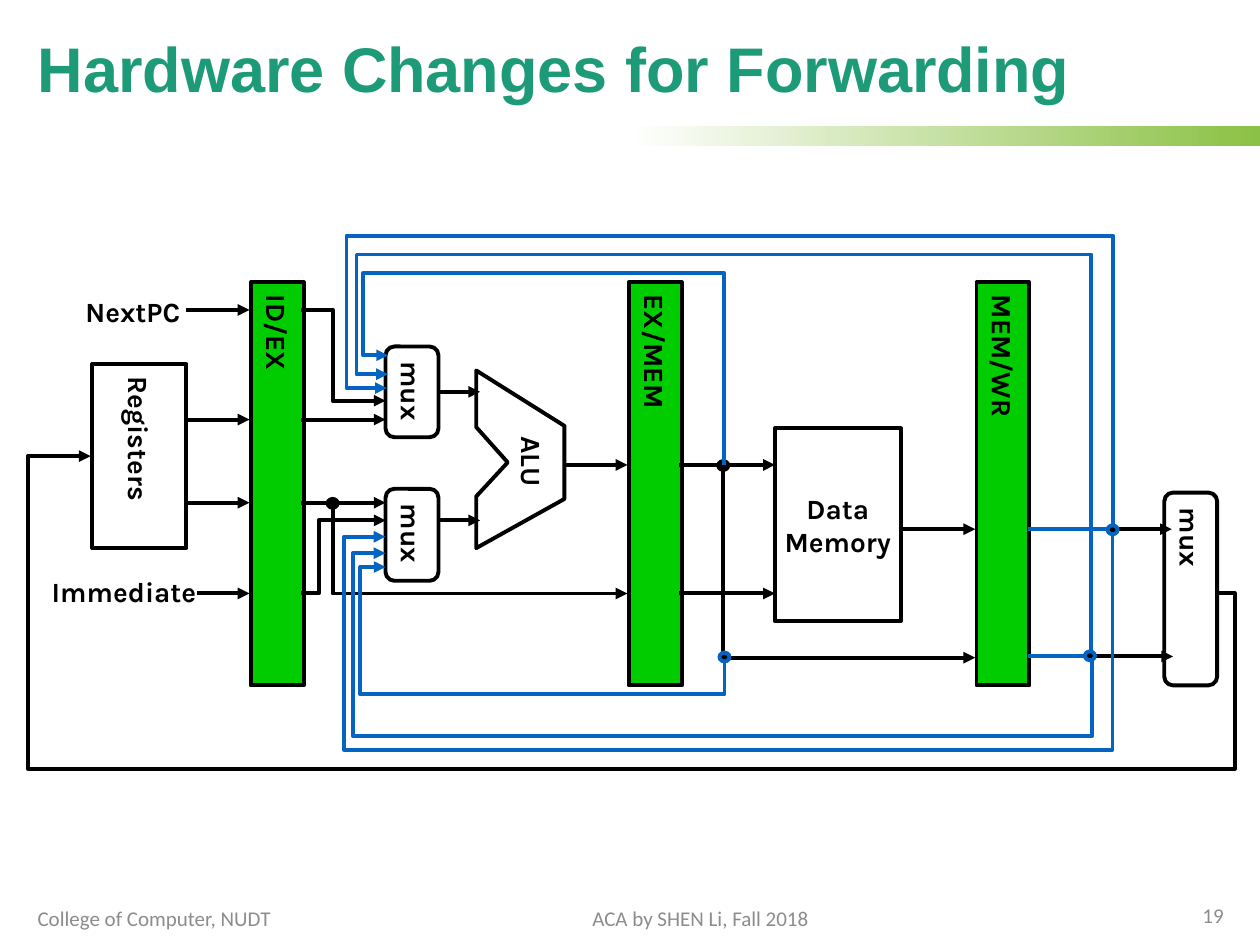
"""Build a slide that shows the pipeline hardware changes for forwarding."""
from pptx import Presentation, util as u
from pptx.dml.color import RGBColor
from pptx.enum import shapes, text
from pptx.oxml import ns, xmlchemy as xml

SCALE = 9144
BLACK = RGBColor(0x00, 0x00, 0x00)
WHITE = RGBColor(0xFF, 0xFF, 0xFF)
GREEN = RGBColor(0x00, 0xCC, 0x00)
LIME = RGBColor(0x8B, 0xC1, 0x45)
TEAL = RGBColor(0x1D, 0x9A, 0x78)
BLUE = RGBColor(0x05, 0x63, 0xC1)
GRAY = RGBColor(0x8C, 0x8C, 0x8C)
LEFT, MID, RIGHT = (text.PP_ALIGN.LEFT, text.PP_ALIGN.CENTER,
                    text.PP_ALIGN.RIGHT)
RECT, ROUND, OVAL = (shapes.MSO_SHAPE.RECTANGLE,
                     shapes.MSO_SHAPE.ROUNDED_RECTANGLE,
                     shapes.MSO_SHAPE.OVAL)
LABEL = {"name": "Karla", "size": u.Pt(15.9), "bold": True}
TITLE = {"name": "Arial", "size": u.Pt(36), "bold": True}
FOOT = {"name": "Calibri", "size": u.Pt(12), "bold": False}


class Pen:
    """Hold the style and the slide that is being drawn."""

    def __init__(self, deck, width=2.25):
        self.slide = deck.slides.add_slide(deck.slide_layouts[6])
        self.items = self.slide.shapes
        self.width = u.Pt(width)

    def size(self, *values):
        return [u.Emu(v * SCALE) for v in values]

    def stroke(self, item, color, arrow=False):
        item.line.color.rgb = color
        item.line.width = self.width
        if arrow:
            line = item._element.spPr.find(ns.qn("a:ln"))
            line.append(xml.OxmlElement("a:tailEnd"))
            line[-1].set("type", "triangle")

    def letter(self, item, words, font=LABEL, color=BLACK, align=MID,
               wrap=False, gap=None):
        frame = item.text_frame
        form = {"word_wrap": wrap, "vertical_anchor": text.MSO_ANCHOR.MIDDLE}
        for key, value in form.items():
            setattr(frame, key, value)
        frame.text = words
        for para in frame.paragraphs:
            para.alignment = align
            para.line_spacing = gap
            for key, value in font.items():
                setattr(para.font, key, value)
            para.font.color.rgb = color

    def box(self, place, words="", kind=RECT, fill=None, edge=BLACK,
            down=True):
        item = self.items.add_shape(kind, *self.size(*place))
        item.shadow.inherit = False
        if fill is None:
            item.fill.background()
        else:
            item.fill.solid()
            item.fill.fore_color.rgb = fill
        self.stroke(item, edge)
        if words:
            self.letter(item, words)
            if down:
                item.text_frame._txBody.bodyPr.set("vert", "eaVert")
        return item

    def mux(self, x, y, high):
        return self.box((x, y, 42, high), "mux", ROUND)

    def dot(self, x, y, edge):
        self.box((x - 4, y - 3, 8, 7), "", OVAL, BLACK, edge)

    def label(self, place, words, turn=0, **form):
        item = self.items.add_textbox(*self.size(*place))
        item.rotation = turn
        self.letter(item, words, **form)

    def arrow(self, x, y, end, start=None):
        item = self.items.add_connector(shapes.MSO_CONNECTOR.STRAIGHT,
                                        *self.size(x, y, end, y))
        if start is not None:
            item.begin_connect(start, 3)
        self.stroke(item, BLACK, True)
        item._element.spPr.append(xml.OxmlElement("a:effectLst"))

    def route(self, points, color=BLACK, close=False):
        form = self.items.build_freeform(*points[0], scale=SCALE)
        form.add_line_segments(points[1:], close=close)
        item = form.convert_to_shape()
        item.shadow.inherit = False
        item.fill.background()
        self.stroke(item, color, not close)

    def band(self, place):
        item = self.items.add_shape(RECT, *self.size(*place))
        item.shadow.inherit = False
        item.line.fill.background()
        item.fill.gradient()
        item.fill.gradient_angle = 0
        for stop, color, spot in zip(item.fill.gradient_stops,
                                     (WHITE, LIME), (0, 1)):
            stop.color.rgb = color
            stop.position = spot


def main():
    deck = Presentation()
    deck.slide_width, deck.slide_height = 1000 * SCALE, 750 * SCALE
    pen = Pen(deck)

    pen.band((500, 100, 500, 16))
    pen.label((20, 15, 961, 85), "Hardware Changes for Forwarding",
              font=TITLE, color=TEAL, align=LEFT, wrap=True, gap=0.9)

    for x, words in ((775, "MEM/WR"), (199, "ID/EX"), (499, "EX/MEM")):
        pen.box((x, 224, 42, 320), words, fill=GREEN)
    pen.box((615, 340, 100, 153), "Data\nMemory", down=False)
    pen.box((73, 289, 75, 146), "Registers")
    upper = pen.mux(306, 275, 72)
    pen.mux(306, 388, 73)
    pen.mux(924, 391, 153)
    pen.route([(378, 294), (448, 338), (448, 396), (378, 435), (378, 394),
               (403, 367), (378, 339)], close=True)

    for place, words, turn in (((390, 348, 65, 37), "ALU", 90),
                               ((54, 229, 103, 37), "NextPC", 0),
                               ((27, 451, 143, 37), "Immediate", 0)):
        pen.label(place, words, turn)

    pen.arrow(348, 311, 381, upper)
    for x, y, end in ((348, 413, 381), (148, 333, 198), (148, 399, 198),
                      (239, 333, 306), (239, 399, 306), (148, 246, 198),
                      (156, 471, 198), (539, 471, 615), (448, 369, 498),
                      (539, 369, 615), (715, 420, 774), (818, 521, 931),
                      (816, 420, 930)):
        pen.arrow(x, y, end)

    for points in (
            [(239, 246), (264, 246), (264, 318), (306, 318)],
            [(239, 471), (253, 471), (253, 413), (306, 413)],
            [(264, 399), (264, 471), (498, 471)],
            [(574, 369), (574, 522), (774, 522)],
            [(964, 471), (980, 471), (980, 610), (22, 610), (22, 362),
             (72, 362)]):
        pen.route(points)
    for x, y in ((574, 369), (264, 399)):
        pen.dot(x, y, BLACK)

    for start, turn, side, y, end in (
            ([(575, 522)], 551, 286, 450, 306),
            ([(883, 420)], 187, 275, 308, 307),
            ([(816, 521), (867, 521)], 584, 280, 439, 306),
            ([(816, 420), (883, 420)], 595, 273, 426, 306),
            ([(575, 369)], 217, 288, 282, 308),
            ([(866, 522)], 202, 283, 297, 308)):
        pen.route(start + [(start[-1][0], turn), (side, turn), (side, y),
                           (end, y)], BLUE)
    for x, y in ((575, 521), (865, 520), (883, 420)):
        pen.dot(x, y, BLUE)

    for place, words, align in (
            ((20, 709, 225, 40), "College of Computer, NUDT", LEFT),
            ((328, 709, 456, 40), "ACA by SHEN Li, Fall 2018", MID),
            ((879, 706, 102, 40), "19", RIGHT)):
        pen.label(place, words, font=FOOT, color=GRAY, align=align, wrap=True)

    deck.save("out.pptx")


if __name__ == "__main__":
    main()
